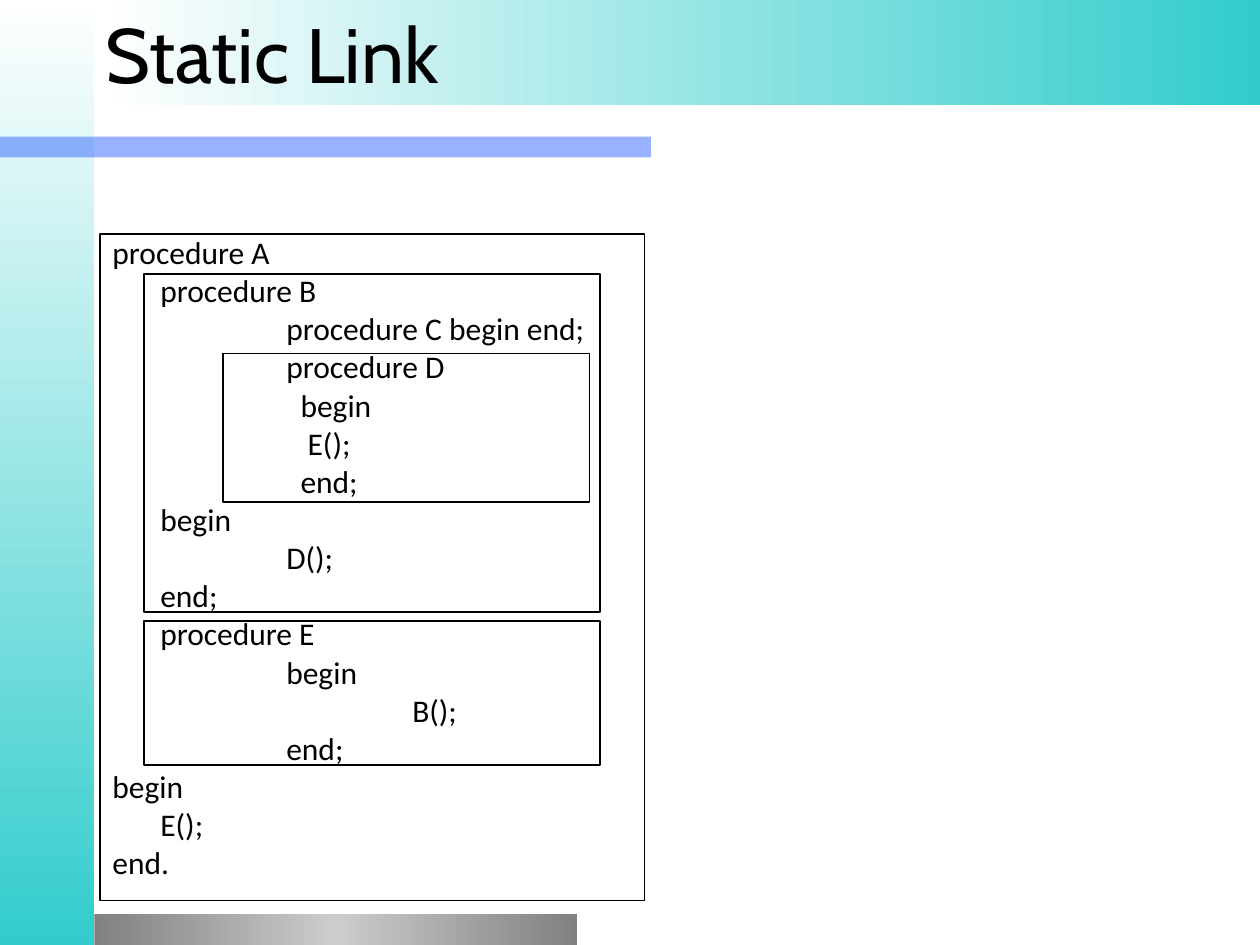
from copy import deepcopy
from dataclasses import dataclass

from pptx import Presentation
from pptx.dml.color import RGBColor as RGB
from pptx.enum.shapes import MSO_SHAPE as Shape
from pptx.enum.text import MSO_ANCHOR as Anchor, MSO_AUTO_SIZE as AutoSize, PP_ALIGN as Align
from pptx.oxml.ns import qn
from pptx.util import Inches, Pt


@dataclass(frozen=True)
class Theme:
    ink: str = "000000"
    white: str = "FFFFFF"
    teal: str = "33CCCC"
    blue: str = "3366FF"
    dark_gray: str = "818181"
    light_gray: str = "CCCCCC"
    title_font: str = "Cabin"
    code_font: str = "Calibri"
    title_size: int = 44
    code_size: int = 18


CODE = """procedure A
\tprocedure B
\t\tprocedure C begin end;
\t\tprocedure D
\t\t  begin
\t\t   E();
\t\t  end;
\tbegin
\t\tD();
\tend;
\tprocedure E
\t\tbegin
\t\t\tB();
\t\tend;
begin
\tE();
end."""


class SlideBuilder:
    """Draws on one slide; every area is (left, top, width, height) in percent of the slide."""

    def __init__(self, theme):
        self.theme = theme
        self.deck = Presentation()
        self.deck.slide_width, self.deck.slide_height = Inches(10), Inches(7.5)
        self.slide = self.deck.slides.add_slide(self.deck.slide_layouts[5])

    def place(self, area):
        sides = (self.deck.slide_width, self.deck.slide_height) * 2
        return [round(side * share / 100) for side, share in zip(sides, area)]

    def rectangle(self, area):
        rect = self.slide.shapes.add_shape(Shape.RECTANGLE, *self.place(area))
        rect.shadow.inherit = False
        rect.line.fill.background()
        return rect

    def gradient(self, area, colors, angle=0):
        rect = self.rectangle(area)
        rect.fill.gradient()
        rect.fill.gradient_angle = angle
        stop_list = rect._element.spPr.find(".//" + qn("a:gsLst"))
        for _ in colors[2:]:
            stop_list.append(deepcopy(stop_list[-1]))
        for i, (stop, color) in enumerate(zip(rect.fill.gradient_stops, colors)):
            stop.color.rgb = RGB.from_string(color)
            stop.position = i / (len(colors) - 1)

    def translucent(self, area, color, opacity):
        rect = self.rectangle(area)
        rect.fill.solid()
        rect.fill.fore_color.rgb = RGB.from_string(color)
        tint = rect._element.spPr.find(".//" + qn("a:srgbClr"))
        tint.append(tint.makeelement(qn("a:alpha"), {"val": str(opacity * 1000)}))

    def frame(self, area, weight=1):
        rect = self.rectangle(area)
        rect.fill.background()
        rect.line.color.rgb = RGB.from_string(self.theme.ink)
        rect.line.width = Pt(weight)
        return rect

    def style(self, paragraph, font, size):
        paragraph.alignment = Align.LEFT
        paragraph.font.name = font
        paragraph.font.size = Pt(size)
        paragraph.font.color.rgb = RGB.from_string(self.theme.ink)

    def title(self, area, text):
        title = self.slide.shapes.title
        title.left, title.top, title.width, title.height = self.place(area)
        title.text = text
        title.text_frame.auto_size = AutoSize.NONE
        title.text_frame.vertical_anchor = Anchor.MIDDLE
        self.style(title.text_frame.paragraphs[0], self.theme.title_font, self.theme.title_size)
        self.slide.shapes._spTree.append(title._element)  # in front of the bands

    def code(self, area, source):
        body = self.frame(area, 0.75).text_frame
        body.word_wrap = True
        body.vertical_anchor = Anchor.TOP
        body.text = source
        for number, line in enumerate(body.paragraphs):
            self.add_tabs(line)
            line.line_spacing = 0.8
            line.space_before = Pt(4.5 if number else 0)
            self.style(line, self.theme.code_font, self.theme.code_size)

    def add_tabs(self, paragraph):
        """Hanging indent followed by a tab stop at every inch."""
        properties = paragraph._p.get_or_add_pPr()
        properties.set("marL", str(Inches(0.38)))
        properties.set("indent", str(Inches(-0.38)))
        properties.set("defTabSz", str(Inches(1)))
        tabs = properties.makeelement(qn("a:tabLst"), {})
        for inch in range(8):
            stop = {"pos": str(Inches(inch)), "algn": "l"}
            tabs.append(tabs.makeelement(qn("a:tab"), stop))
        properties.append(tabs)


def main():
    theme = Theme()
    page = SlideBuilder(theme)

    page.gradient((0, 0, 7.5, 100), (theme.white, theme.teal), angle=270)
    page.translucent((0, 14.45, 51.67, 2.2), theme.blue, 50)
    page.gradient((7.5, 96.67, 38.3, 3.33), (theme.dark_gray, theme.light_gray, theme.dark_gray))
    page.gradient((8.4, 0, 91.6, 11.07), (theme.white, theme.teal))
    page.title((7.4, 0.08, 92.6, 11.07), "Static Link")

    page.code((7.94, 24.77, 43.2, 70.53), CODE)
    procedure_b = (11.4, 29, 36.2, 35.73)
    procedure_e = (11.4, 65.73, 36.2, 15.2)
    procedure_d = (17.7, 37.4, 29.1, 15.73)
    for scope in (procedure_b, procedure_e, procedure_d):
        page.frame(scope)

    page.deck.save("out.pptx")


if __name__ == "__main__":
    main()
